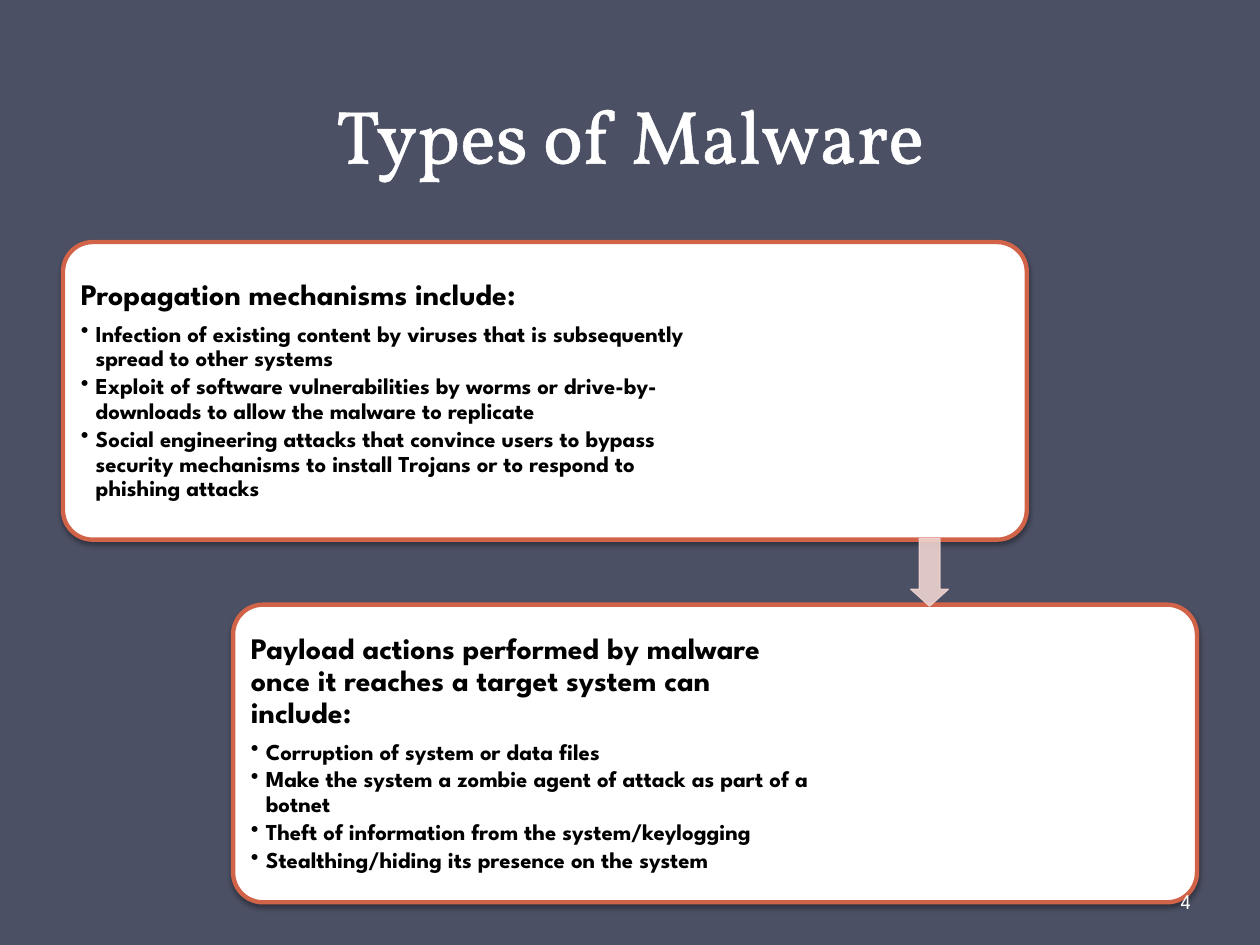
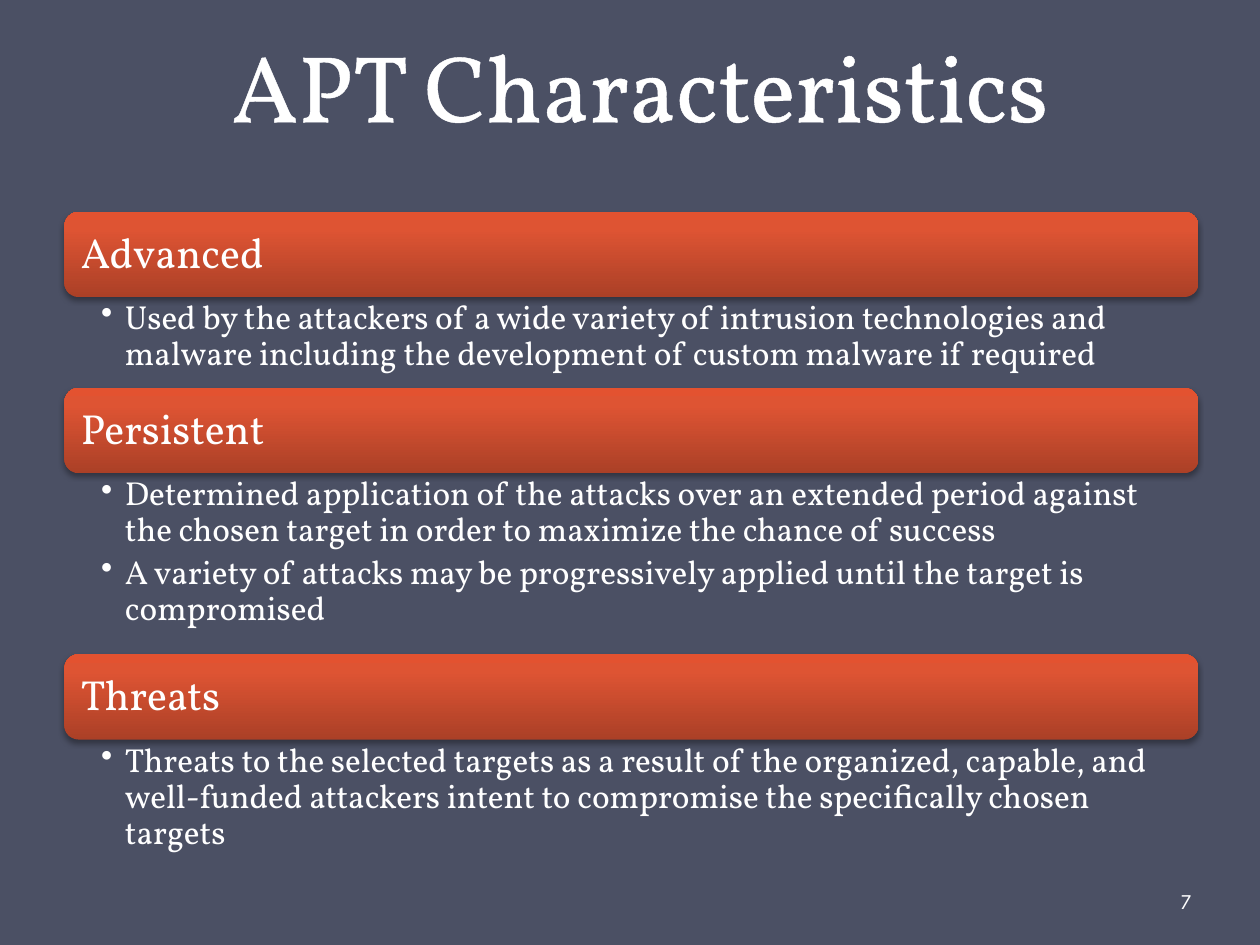
from dataclasses import dataclass

from lxml import etree
from pptx import Presentation
from pptx.dml.color import RGBColor
from pptx.enum.shapes import MSO_SHAPE as Shape
from pptx.enum.text import MSO_ANCHOR as Anchor, MSO_AUTO_SIZE as AutoSize, PP_ALIGN as Align
from pptx.oxml.ns import qn
from pptx.util import Cm, Pt


@dataclass(frozen=True)
class Theme:
    background: str = "4B5064"
    white: str = "FFFFFF"
    black: str = "000000"
    card_line: str = "D16349"
    arrow: str = "EED3D0"
    band_stops: tuple = ((0, "AB4027"), (80, "DE5433"), (100, "E35230"))
    serif: str = "Vollkorn"
    sans: str = "League Spartan"
    card_head: int = 17
    card_body: int = 13
    band_head: int = 24
    band_body: int = 19
    number: int = 12


T = Theme()

# Content: titles with size and box (left, top, width, height in cm)
MALWARE = dict(title="Types of Malware", size=43, box=(1.27, -0.64, 22.86, 4.37), number="4")
APT = dict(title="APT Characteristics", size=54, box=(1.47, -1.47, 22.86, 4.44), number="7")

# Cards: left, top, text width, heading, bullets
CARDS = [
    (1.27, 4.88, 13.23, "Propagation mechanisms include:", [
        "Infection of existing content by viruses that is subsequently spread to other systems",
        "Exploit of software vulnerabilities by worms or drive-by-downloads to allow "
        "the malware to replicate",
        "Social engineering attacks that convince users to bypass security mechanisms "
        "to install Trojans or to respond to phishing attacks",
    ]),
    (4.7, 12.19, 11.76,
     "Payload actions performed by malware once it reaches a target system can include:", [
         "Corruption of system or data files",
         "Make the system a zombie agent of attack as part of a botnet",
         "Theft of information from the system/keylogging",
         "Stealthing/hiding its presence on the system",
     ]),
]
CARD_W, CARD_H, CARD_PAD = 19.43, 6.0, 0.18

# Bands: heading, height of the text below, bullets
BANDS = [
    ("Advanced", 1.83, [
        "Used by the attackers of a wide variety of intrusion technologies and malware "
        "including the development of custom malware if required",
    ]),
    ("Persistent", 3.65, [
        "Determined application of the attacks over an extended period against the chosen "
        "target in order to maximize the chance of success",
        "A variety of attacks may be progressively applied until the target is compromised",
    ]),
    ("Threats", 2.62, [
        "Threats to the selected targets as a result of the organized, capable, and "
        "well-funded attackers intent to compromise the specifically chosen targets",
    ]),
]
BAND_X, BAND_TOP, BAND_W, BAND_H, BAND_PAD = 1.3, 4.27, 22.86, 1.72, 0.08


# Helpers
def rgb(color):
    return RGBColor.from_string(color)


def sub(parent, tag, **attrs):
    return etree.SubElement(parent, qn(tag), {k: str(v) for k, v in attrs.items()})


def cms(box):
    return [Cm(v) for v in box]


def add_run(p, text, font, size, color, bold=False):
    r = p.add_run()
    r.text = text
    r.font.name, r.font.size, r.font.bold = font, Pt(size), bold
    r.font.color.rgb = rgb(color)
    return r


def add_text(s, box, insets, anchor=Anchor.TOP):
    tf = s.shapes.add_textbox(*cms(box)).text_frame
    tf.word_wrap = True
    tf.vertical_anchor = anchor
    tf.margin_left, tf.margin_top, tf.margin_right, tf.margin_bottom = cms(insets)
    return tf


def add_paragraph(tf, text, font, size, color, after, bold=False, indent=0):
    """Fill the first paragraph or a new one; an indent makes it a bullet."""
    p = tf.add_paragraph() if tf.paragraphs[0].runs else tf.paragraphs[0]
    p.line_spacing = 0.9
    p.space_after = Pt(round(size * after, 1))
    if indent:
        p.level = 1
        pPr = p._p.get_or_add_pPr()
        pPr.set("marL", str(Cm(indent)))
        pPr.set("indent", str(-Cm(indent)))
        sub(pPr, "a:buChar", char="•")
    add_run(p, text, font, size, color, bold)


def add_shape(s, kind, box, line=None, width=0.75, adjustments=()):
    sp = s.shapes.add_shape(kind, *cms(box))
    sp.shadow.inherit = False
    for i, value in enumerate(adjustments):
        sp.adjustments[i] = value
    if line:
        sp.line.color.rgb = rgb(line)
        sp.line.width = Pt(width)
    else:
        sp.line.fill.background()
    return sp


def add_shadow(sp):
    effects = sp._element.spPr.find(qn("a:effectLst"))
    shadow = sub(effects, "a:outerShdw", blurRad=Pt(3.1), dist=Pt(1.8),
                 dir=90 * 60000, rotWithShape=0)
    sub(sub(shadow, "a:srgbClr", val=T.black), "a:alpha", val=35000)


def fill_gradient(sp, stops):
    sp.fill.gradient()
    sp.fill.gradient_angle = 90
    gs_list = sp._element.spPr.find(qn("a:gradFill")).find(qn("a:gsLst"))
    for gs in list(gs_list):
        gs_list.remove(gs)
    for pos, color in stops:
        sub(sub(gs_list, "a:gs", pos=pos * 1000), "a:srgbClr", val=color)


def add_slide(prs, title, size, box, number):
    """Background, outlined title and page number."""
    s = prs.slides.add_slide(prs.slide_layouts[5])
    s.background.fill.solid()
    s.background.fill.fore_color.rgb = rgb(T.background)

    head = s.shapes.title
    head.left, head.top, head.width, head.height = cms(box)
    tf = head.text_frame
    tf.word_wrap, tf.auto_size, tf.vertical_anchor = True, AutoSize.NONE, Anchor.BOTTOM
    p = tf.paragraphs[0]
    p.alignment, p.line_spacing = Align.CENTER, Pt(58)
    rPr = add_run(p, title, T.serif, size, T.white).font._element
    outline = etree.Element(qn("a:ln"), w=str(Pt(1.45)))
    sub(sub(outline, "a:solidFill"), "a:srgbClr", val=T.white)
    rPr.insert(0, outline)

    return s


def add_number(s, number):
    tf = add_text(s, (23.72, 17.65, 1.55, 1.02), (0.08, 0.13, 0.13, 0.13), Anchor.MIDDLE)
    add_run(tf.paragraphs[0], number, T.sans, T.number, T.white)


# Slide with two staggered cards joined by an arrow
def build_malware(prs):
    s = add_slide(prs, **MALWARE)
    for x, y, text_w, heading, bullets in CARDS:
        card = add_shape(s, Shape.ROUNDED_RECTANGLE, (x, y, CARD_W, CARD_H),
                         T.card_line, 2.5, [0.1])
        card.fill.solid()
        card.fill.fore_color.rgb = rgb(T.white)
        add_shadow(card)
        tf = add_text(s, (x + CARD_PAD, y + CARD_PAD, text_w, CARD_H - 2 * CARD_PAD),
                      [CARD_PAD] * 4, Anchor.MIDDLE)
        add_paragraph(tf, heading, T.sans, T.card_head, T.black, 0.35, bold=True)
        for text in bullets:
            add_paragraph(tf, text, T.sans, T.card_body, T.black, 0.15, bold=True, indent=0.3)

    arrow = add_shape(s, Shape.DOWN_ARROW, (18.36, 10.85, 0.76, 1.37), T.arrow,
                      adjustments=[0.55, 0.45])
    arrow.fill.solid()
    arrow.fill.fore_color.rgb = rgb(T.arrow)
    for color in arrow._element.spPr.iter(qn("a:srgbClr")):
        sub(color, "a:alpha", val=90000)
    add_number(s, MALWARE["number"])


# Slide with a stack of heading bands, each followed by its bullets
def build_apt(prs):
    s = add_slide(prs, **APT)
    y = BAND_TOP
    for heading, body_h, bullets in BANDS:
        band = add_shape(s, Shape.ROUNDED_RECTANGLE, (BAND_X, y, BAND_W, BAND_H))
        fill_gradient(band, T.band_stops)
        add_shadow(band)
        tf = add_text(s, (BAND_X + BAND_PAD, y + BAND_PAD,
                          BAND_W - 2 * BAND_PAD, BAND_H - 2 * BAND_PAD),
                      [0.25] * 4, Anchor.MIDDLE)
        add_paragraph(tf, heading, T.serif, T.band_head, T.white, 0.35)
        y += BAND_H
        tf = add_text(s, (BAND_X, y, BAND_W, body_h), (0.74, 0.08, 0.48, 0.08))
        for text in bullets:
            add_paragraph(tf, text, T.serif, T.band_body, T.white, 0.2, indent=0.48)
        y += body_h
    add_number(s, APT["number"])


def main():
    prs = Presentation()
    prs.slide_width, prs.slide_height = Cm(25.4), Cm(19.05)
    build_malware(prs)
    build_apt(prs)
    prs.save("out.pptx")


if __name__ == "__main__":
    main()
